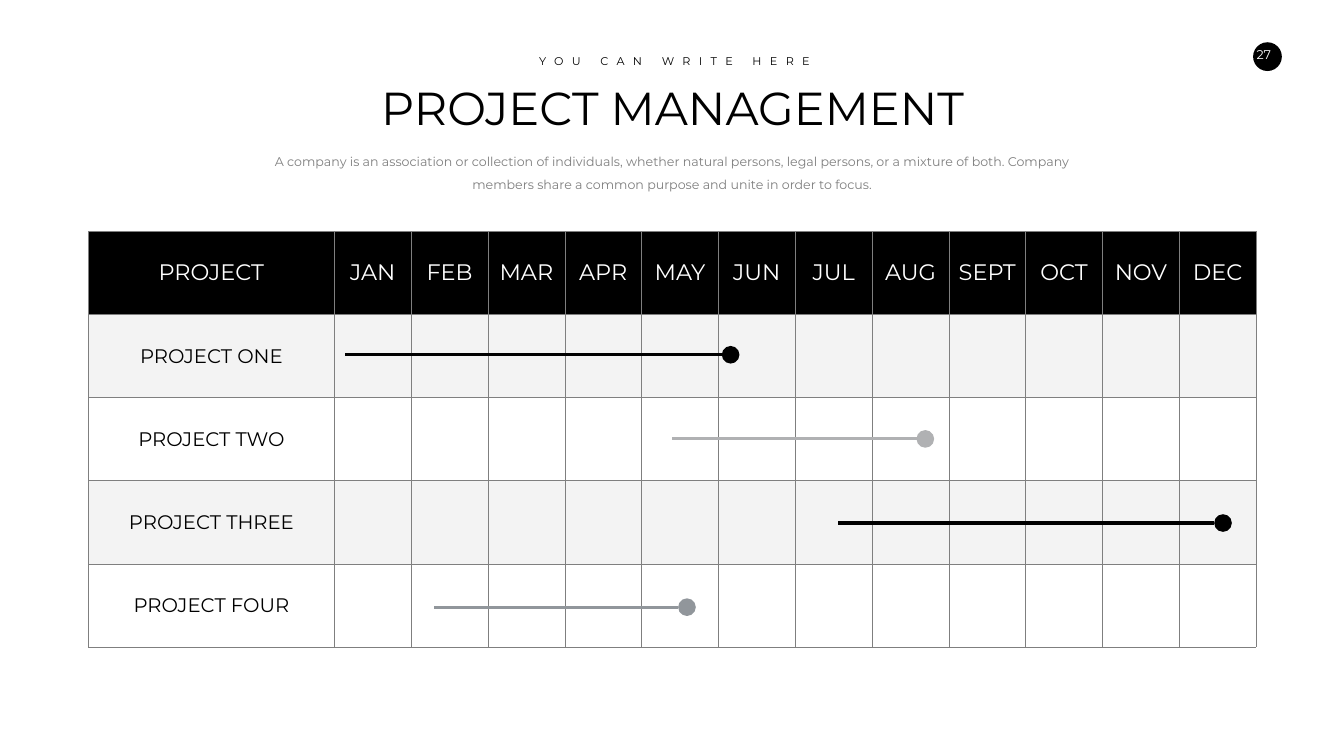
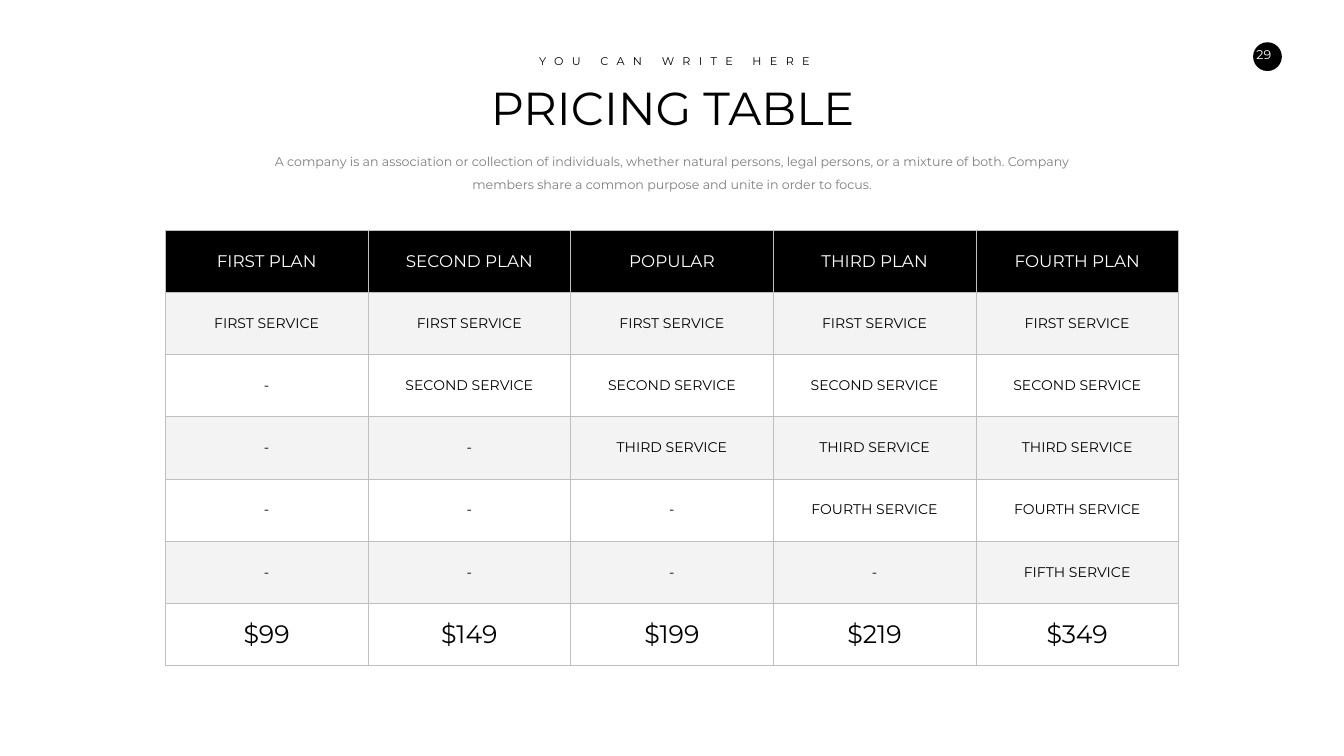
from dataclasses import dataclass

from lxml import etree
from pptx import Presentation
from pptx.dml.color import RGBColor
from pptx.enum.shapes import MSO_CONNECTOR, MSO_SHAPE
from pptx.enum.text import MSO_ANCHOR, MSO_AUTO_SIZE, PP_ALIGN
from pptx.oxml.ns import qn
from pptx.util import Cm, Pt

CENTER = PP_ALIGN.CENTER
TOP, MIDDLE = MSO_ANCHOR.TOP, MSO_ANCHOR.MIDDLE
NO_AUTOFIT = MSO_AUTO_SIZE.NONE
OVAL = MSO_SHAPE.OVAL
STRAIGHT = MSO_CONNECTOR.STRAIGHT

# Shared style
FONT = "Montserrat"
BLACK, WHITE, STRIPE = "000000", "FFFFFF", "F3F3F3"
GRAY, LIGHT_GRAY, SILVER, STEEL = "7F7F7F", "BFBFBF", "B0B1B3", "91969B"
TITLE_ONLY = 5
TITLE_CENTER = 33.89
KICKER = "YOU CAN WRITE HERE"
INTRO = (
    "A company is an association or collection of individuals, whether natural "
    "persons, legal persons, or a mixture of both. Company members share a "
    "common purpose and unite in order to focus."
)

# Content
MONTHS = ["JAN", "FEB", "MAR", "APR", "MAY", "JUN",
          "JUL", "AUG", "SEPT", "OCT", "NOV", "DEC"]
PLANS = ["FIRST PLAN", "SECOND PLAN", "POPULAR", "THIRD PLAN", "FOURTH PLAN"]
SERVICES = ["FIRST", "SECOND", "THIRD", "FOURTH", "FIFTH"]
PRICES = ["$99", "$149", "$199", "$219", "$349"]


@dataclass
class Heading:
    title: str
    width: float
    page: str


@dataclass
class Grid:
    left: float
    top: float
    columns: list[float]
    row_height: float
    border: str
    border_pt: float
    sizes: list[int]  # text size of each row
    rows: list[list[str]]


@dataclass
class Timeline:
    project: str
    start: float
    length: float
    color: str


# Bar positions in cm; bars sit on evenly spaced rows
TIMELINES = [
    Timeline("PROJECT ONE", 17.4, 18.97, BLACK),
    Timeline("PROJECT TWO", 33.88, 12.3, SILVER),
    Timeline("PROJECT THREE", 42.21, 18.97, BLACK),
    Timeline("PROJECT FOUR", 21.87, 12.3, STEEL),
]
FIRST_BAR_Y, BAR_PITCH, DOT = 17.88, 4.24, 0.89

SCHEDULE = Grid(
    4.45, 11.66, [12.4] + [3.87] * len(MONTHS), 4.19, GRAY, 1,
    [32] + [28] * len(TIMELINES),
    [["PROJECT"] + MONTHS] + [[t.project] + [""] * len(MONTHS) for t in TIMELINES],
)
# Each plan adds one service to the plan before it
PRICING = Grid(
    8.33, 11.61, [10.21] * len(PLANS), 3.13, LIGHT_GRAY, 0.75,
    [24] + [20] * len(SERVICES) + [36],
    [PLANS]
    + [[f"{service} SERVICE" if plan >= level else "-" for plan in range(len(PLANS))]
       for level, service in enumerate(SERVICES)]
    + [PRICES],
)


def rgb(color: str) -> RGBColor:
    return RGBColor.from_string(color)


def write(frame, text: str, *, size: float, color: str = BLACK,
          line_spacing: float | None = None, tracking: float = 0) -> None:
    """Put centred text in a frame; tracking is letter spacing in points."""
    paragraph = frame.paragraphs[0]
    paragraph.alignment = CENTER
    if line_spacing:
        paragraph.line_spacing = line_spacing
    run = paragraph.add_run()
    run.text = text
    run.font.name = FONT
    run.font.size = Pt(size)
    run.font.bold = False
    run.font.color.rgb = rgb(color)
    if tracking:
        run.font._element.set("spc", str(int(tracking * 100)))


def add_text(slide, left: float, top: float, width: float, height: float,
             text: str, wrap: bool = True, **text_format) -> None:
    box = slide.shapes.add_textbox(Cm(left), Cm(top), Cm(width), Cm(height))
    box.text_frame.word_wrap = wrap
    write(box.text_frame, text, **text_format)


def add_dot(shapes, left: float, top: float, diameter: float, color: str) -> None:
    dot = shapes.add_shape(OVAL, Cm(left), Cm(top), Cm(diameter), Cm(diameter))
    dot.shadow.inherit = False
    dot.fill.solid()
    dot.fill.fore_color.rgb = rgb(color)
    dot.line.fill.background()


def add_headed_slide(deck, heading: Heading):
    slide = deck.slides.add_slide(deck.slide_layouts[TITLE_ONLY])

    # Page badge
    add_dot(slide.shapes, 63.14, 2.13, 1.45, BLACK)
    add_text(slide, 62.59, 2.26, 2.18, 1.27, heading.page, size=18, color=WHITE)

    # Title, line above and introduction
    title = slide.shapes.title
    title.left, title.top = Cm(TITLE_CENTER - heading.width / 2), Cm(3.86)
    title.width, title.height = Cm(heading.width), Cm(3.07)
    title.text_frame.auto_size = NO_AUTOFIT
    title.text_frame.vertical_anchor = TOP
    write(title.text_frame, heading.title, size=66)
    add_text(slide, 26.65, 2.59, 14.68, 0.94, KICKER, wrap=False, size=16, tracking=12)
    add_text(slide, 13.51, 7.26, 40.72, 2.57, INTRO,
             size=18, color=GRAY, line_spacing=1.5)
    return slide


def set_borders(cell, color: str, width: float) -> None:
    properties = cell._tc.get_or_add_tcPr()
    for side in ("a:lnL", "a:lnR", "a:lnT", "a:lnB"):
        line = etree.SubElement(properties, qn(side), w=str(Pt(width)))
        fill = etree.SubElement(line, qn("a:solidFill"))
        etree.SubElement(fill, qn("a:srgbClr"), val=color)


def add_grid(slide, grid: Grid) -> None:
    table = slide.shapes.add_table(
        len(grid.rows), len(grid.columns), Cm(grid.left), Cm(grid.top),
        Cm(sum(grid.columns)), Cm(grid.row_height * len(grid.rows)),
    ).table
    table.horz_banding = False
    for column, width in zip(table.columns, grid.columns):
        column.width = Cm(width)
    for r, (texts, size) in enumerate(zip(grid.rows, grid.sizes)):
        table.rows[r].height = Cm(grid.row_height)
        background = BLACK if r == 0 else STRIPE if r % 2 else WHITE
        for c, text in enumerate(texts):
            cell = table.cell(r, c)
            set_borders(cell, grid.border, grid.border_pt)
            cell.fill.solid()
            cell.fill.fore_color.rgb = rgb(background)
            cell.vertical_anchor = MIDDLE
            if text:
                write(cell.text_frame, text, size=size,
                      color=WHITE if r == 0 else BLACK)


def add_timeline(slide, timeline: Timeline, y: float) -> None:
    shapes = slide.shapes.add_group_shape().shapes
    end = timeline.start + timeline.length
    add_dot(shapes, end, y - DOT / 2, DOT, timeline.color)
    bar = shapes.add_connector(STRAIGHT, Cm(end), Cm(y), Cm(timeline.start), Cm(y))
    bar.line.color.rgb = rgb(timeline.color)
    bar.line.width = Pt(4.5)
    etree.SubElement(bar._element.spPr, qn("a:effectLst"))


def main() -> None:
    deck = Presentation()
    deck.slide_width, deck.slide_height = Cm(67.72), Cm(38.1)

    # Project schedule
    slide = add_headed_slide(deck, Heading("PROJECT MANAGEMENT", 33.6, "27"))
    add_grid(slide, SCHEDULE)
    for row, timeline in enumerate(TIMELINES):
        add_timeline(slide, timeline, FIRST_BAR_Y + row * BAR_PITCH)

    # Pricing
    slide = add_headed_slide(deck, Heading("PRICING TABLE", 21.42, "29"))
    add_grid(slide, PRICING)

    deck.save("out.pptx")


if __name__ == "__main__":
    main()
